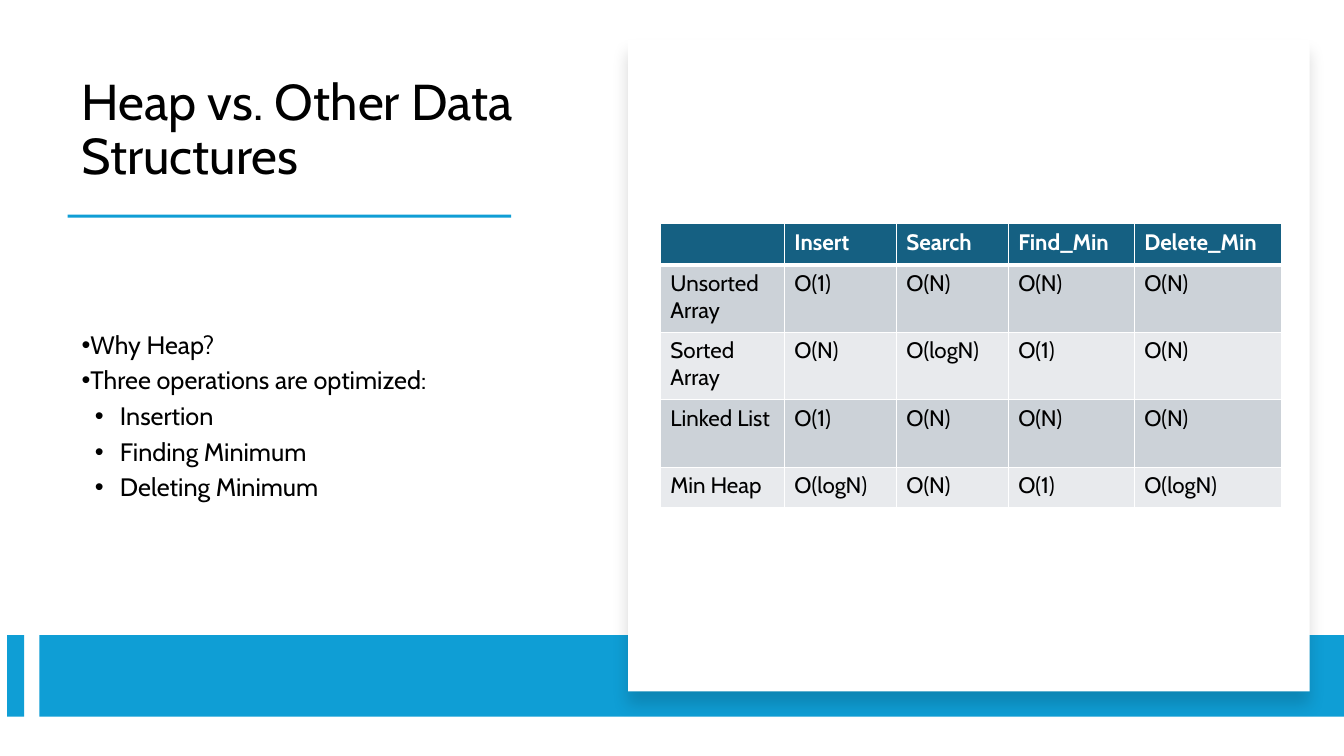
import pptx
import pptx.util
import pptx.dml.color
import pptx.enum.shapes
import pptx.enum.text
import pptx.oxml
import pptx.oxml.ns
from dataclasses import dataclass
from pptx.util import Inches


@dataclass(frozen=True)
class Theme:
    font: str = "Cabin"
    ink: str = "000000"
    paper: str = "FFFFFF"
    accent: str = "0F9ED5"
    head: str = "156082"
    bands: tuple = ("CCD2D8", "E8EAED")
    title: int = 36
    body: int = 18
    cell: int = 16


THEME = Theme()
ANCHOR = pptx.enum.text.MSO_ANCHOR
LEFT = pptx.enum.text.PP_ALIGN.LEFT
NS = 'xmlns:a="http://schemas.openxmlformats.org/drawingml/2006/main"'

POINTS = [
    ("Why Heap?", 0),
    ("Three operations are optimized:", 0),
    ("Insertion", 1),
    ("Finding Minimum", 1),
    ("Deleting Minimum", 1),
]
COSTS = [
    ["", "Insert", "Search", "Find_Min", "Delete_Min"],
    ["Unsorted Array", "O(1)", "O(N)", "O(N)", "O(N)"],
    ["Sorted Array", "O(N)", "O(logN)", "O(1)", "O(N)"],
    ["Linked List", "O(1)", "O(N)", "O(N)", "O(N)"],
    ["Min Heap", "O(logN)", "O(N)", "O(1)", "O(logN)"],
]
WIDTHS = [1.23, 1.11, 1.11, 1.25, 1.46]
HEIGHTS = [0.4, 0.67, 0.67, 0.67, 0.4]


def rgb(code):
    return pptx.dml.color.RGBColor.from_string(code)


def apply(item, form):
    for key, value in form.items():
        setattr(item, key, value)


def write(para, text, size, color, bold=False):
    run = para.add_run()
    run.text = text
    apply(run.font, {"name": THEME.font, "size": pptx.util.Pt(size), "bold": bold})
    run.font.color.rgb = rgb(color)


def place(shape, box, anchor):
    apply(shape, dict(zip(("left", "top", "width", "height"), map(Inches, box))))
    apply(shape.text_frame, {
        "word_wrap": True,
        "auto_size": pptx.enum.text.MSO_AUTO_SIZE.NONE,
        "vertical_anchor": anchor,
    })


def add_title(slide, text, box):
    title = slide.shapes.title
    place(title, box, ANCHOR.BOTTOM)
    para = title.text_frame.paragraphs[0]
    apply(para, {"alignment": LEFT, "line_spacing": 0.9})
    write(para, text, THEME.title, THEME.ink)


def add_list(slide, points, box):
    body = slide.placeholders[1]
    place(body, box, ANCHOR.MIDDLE)
    frame = body.text_frame
    for num, (text, level) in enumerate(points):
        para = frame.add_paragraph() if num else frame.paragraphs[0]
        apply(para, {
            "level": level,
            "alignment": LEFT,
            "line_spacing": 0.9,
            "space_before": pptx.util.Pt(0),
            "space_after": pptx.util.Pt(6),
        })
        props = para._p.get_or_add_pPr()
        props.set("marL", str(Inches(0.38 * level)))
        props.set("indent", str(Inches(-0.25)))
        for mark in ('<a:buFont {} typeface="Arial"/>', '<a:buChar {} char="•"/>'):
            props.append(pptx.oxml.parse_xml(mark.format(NS)))
        write(para, text, THEME.body, THEME.ink)


def add_block(slide, box, color):
    kind = pptx.enum.shapes.MSO_SHAPE.RECTANGLE
    block = slide.shapes.add_shape(kind, *map(Inches, box))
    block.shadow.inherit = False
    block.fill.solid()
    block.fill.fore_color.rgb = rgb(color)
    block.line.fill.background()
    return block


def add_card(slide, box):
    card = add_block(slide, box, THEME.paper)
    effect = card._element.spPr.find(pptx.oxml.ns.qn("a:effectLst"))
    effect.append(pptx.oxml.parse_xml(
        f'<a:outerShdw {NS} blurRad="{pptx.util.Pt(11)}" dist="{pptx.util.Pt(10)}" '
        f'dir="5400000" algn="t" rotWithShape="0"><a:srgbClr val="{THEME.ink}">'
        '<a:alpha val="15000"/></a:srgbClr></a:outerShdw>'))


def set_edges(cell, widths):
    props = cell._tc.get_or_add_tcPr()
    for num, (side, width) in enumerate(widths.items()):
        props.insert(num, pptx.oxml.parse_xml(
            f'<a:ln{side} {NS} w="{pptx.util.Pt(width)}"><a:solidFill>'
            f'<a:srgbClr val="{THEME.paper}"/></a:solidFill></a:ln{side}>'))


def add_table(slide, left, top):
    frame = slide.shapes.add_table(
        len(HEIGHTS), len(WIDTHS), Inches(left), Inches(top),
        Inches(sum(WIDTHS)), Inches(sum(HEIGHTS)))
    table = frame.table
    for col, width in zip(table.columns, WIDTHS):
        col.width = Inches(width)
    for row, height in zip(table.rows, HEIGHTS):
        row.height = Inches(height)
    for num, line in enumerate(COSTS):
        head = num == 0
        fill = THEME.head if head else THEME.bands[(num - 1) % 2]
        ink = THEME.paper if head else THEME.ink
        edges = {"L": 1, "R": 1, "T": 3 if num == 1 else 1, "B": 3 if head else 1}
        for col, text in enumerate(line):
            cell = table.cell(num, col)
            cell.fill.solid()
            cell.fill.fore_color.rgb = rgb(fill)
            set_edges(cell, edges)
            if text:
                write(cell.text_frame.paragraphs[0], text, THEME.cell, ink, head)


def main():
    deck = pptx.Presentation()
    apply(deck, {"slide_width": Inches(13.33), "slide_height": Inches(7.5)})
    slide = deck.slides.add_slide(deck.slide_layouts[1])
    add_title(slide, "Heap vs. Other Data Structures", (0.71, 0.58, 4.68, 1.31))
    add_list(slide, POINTS, (0.71, 2.22, 4.68, 3.84))
    for box in ((0.67, 2.13, 4.4, 0.03), (0.07, 6.3, 0.17, 0.81), (0.39, 6.3, 12.94, 0.81)):
        add_block(slide, box, THEME.accent)
    add_card(slide, (6.23, 0.39, 6.76, 6.47))
    add_table(slide, 6.55, 2.22)
    deck.save("out.pptx")


if __name__ == "__main__":
    main()
